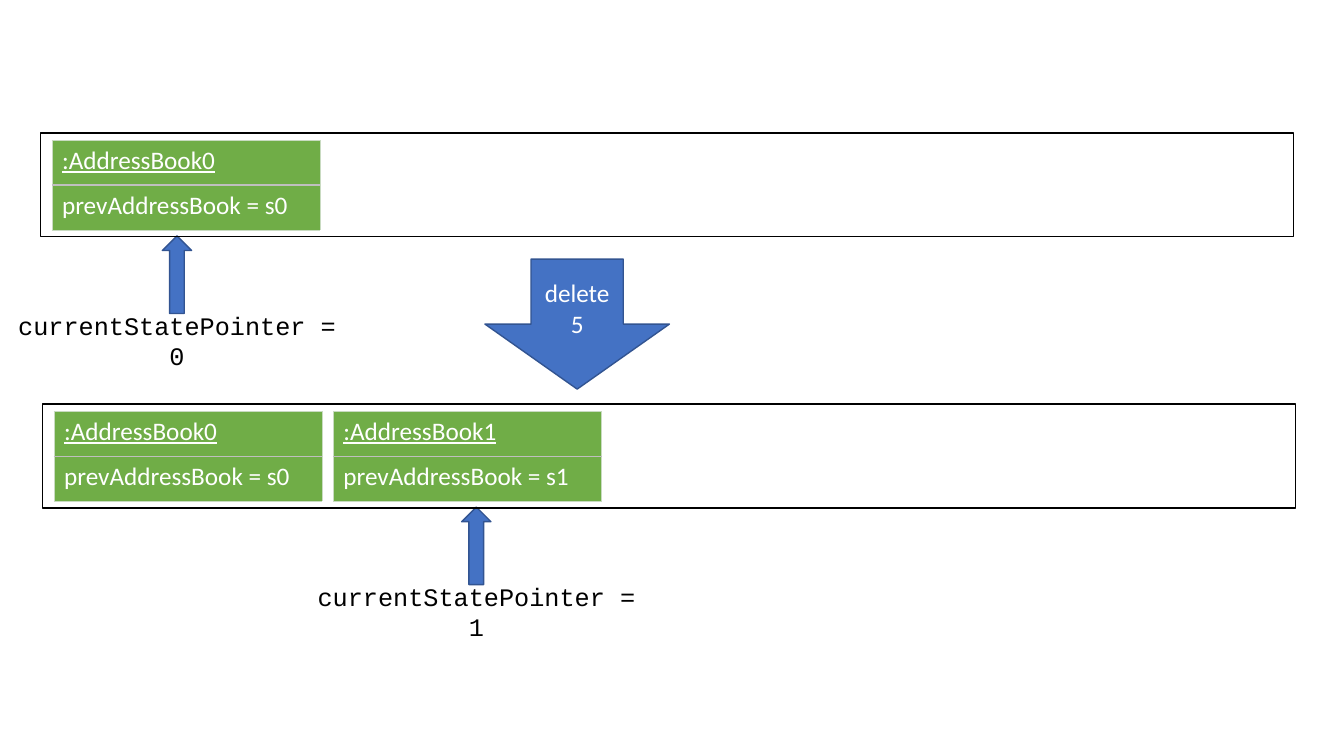
from lxml.etree import SubElement
from pptx import Presentation
from pptx.dml.color import RGBColor
from pptx.enum.shapes import MSO_SHAPE as Preset
from pptx.enum.text import MSO_ANCHOR as Anchor, PP_ALIGN as Align
from pptx.oxml.ns import qn
from pptx.util import Inches, Pt

SLIDE_WIDTH, SLIDE_HEIGHT = Inches(13.33), Inches(7.5)
BLUE, NAVY, GREEN, PALE, GREY = "4472C4", "325491", "70AD47", "C9DBC1", "BFBFBF"
BLACK, WHITE = "000000", "FFFFFF"
FRAME_WIDTH, FRAME_HEIGHT = 93.23, 13.73
BOOK_WIDTH, BOOK_STEP, BOOK_ROW = 19.95, 20.78, 5.95
LABEL_WIDTH, LABEL_HEIGHT = 26.33, 5.33
ARROW_WIDTH, ARROW_HEIGHT = 2.18, 10.27


def across(share):
    """Turn a percentage of the slide width into a length."""
    return round(SLIDE_WIDTH * share / 100)


def down(share):
    """Turn a percentage of the slide height into a length."""
    return round(SLIDE_HEIGHT * share / 100)


def box(left, top, width, height):
    """Turn percentages of the slide into a position and size."""
    return across(left), down(top), across(width), down(height)


def colour(value):
    """Turn a hex string into a colour."""
    return RGBColor.from_string(value)


def write(frame, text, font="Calibri", ink=WHITE, align=Align.LEFT, underline=False):
    """Put one formatted paragraph into a text frame."""
    frame.word_wrap = True
    paragraph = frame.paragraphs[0]
    paragraph.alignment = align
    run = paragraph.add_run()
    run.text = text
    run.font.name, run.font.size = font, Pt(18)
    run.font.underline = underline
    run.font.color.rgb = colour(ink)


def add_preset(slide, preset, place, fill=None, line=NAVY):
    """Draw a preset shape with a one-point outline."""
    shape = slide.shapes.add_shape(preset, *place)
    shape.shadow.inherit = False
    if fill:
        shape.fill.solid()
        shape.fill.fore_color.rgb = colour(fill)
    else:
        shape.fill.background()
    shape.line.color.rgb = colour(line)
    shape.line.width = Pt(1)
    return shape


def border(cell, side, ink, points):
    """Draw one border of a table cell."""
    edge = SubElement(cell._tc.get_or_add_tcPr(), qn(f"a:ln{side}"), w=str(Pt(points)))
    SubElement(SubElement(edge, qn("a:solidFill")), qn("a:srgbClr"), val=ink)


def add_book(slide, number, left, top):
    """Add the object table of one address book state."""
    place = box(left, top, BOOK_WIDTH, 2 * BOOK_ROW)
    table = slide.shapes.add_table(2, 1, *place).table
    table.first_row = table.horz_banding = False
    lines = f":AddressBook{number}", f"prevAddressBook = s{number}"
    for row, text in enumerate(lines):
        table.rows[row].height = down(BOOK_ROW)
        cell = table.cell(row, 0)
        write(cell.text_frame, text, underline=row == 0)
        divider = "B" if row == 0 else "T"
        for side in "LRTB":
            border(cell, side, *((GREY, 1) if side == divider else (PALE, 0.5)))
        cell.fill.solid()
        cell.fill.fore_color.rgb = colour(GREEN)


def add_history(slide, left, top, states, pointer_centre):
    """Add a state list with its frame, books and pointer to the last state."""
    label_place = box(pointer_centre - LABEL_WIDTH / 2, top + 22.73, LABEL_WIDTH, LABEL_HEIGHT)
    label = slide.shapes.add_textbox(*label_place)
    write(label.text_frame, f"currentStatePointer = {states - 1}",
          font="Courier New", ink=BLACK, align=Align.CENTER)
    for number in range(states):
        add_book(slide, number, left + 0.87 + number * BOOK_STEP, top + 0.93)
    arrow_place = box(pointer_centre - ARROW_WIDTH / 2, top + 13.6, ARROW_WIDTH, ARROW_HEIGHT)
    add_preset(slide, Preset.UP_ARROW, arrow_place, fill=BLUE)
    add_preset(slide, Preset.RECTANGLE, box(left, top, FRAME_WIDTH, FRAME_HEIGHT), line=BLACK)


def add_command(slide, text):
    """Add the block arrow that names the command between the states."""
    arrow = add_preset(slide, Preset.DOWN_ARROW, box(36.08, 34.27, 13.73, 17.2), fill=BLUE)
    arrow.text_frame.vertical_anchor = Anchor.MIDDLE
    write(arrow.text_frame, text, align=Align.CENTER)


def main():
    """Build the slide and save it."""
    deck = Presentation()
    deck.slide_width, deck.slide_height = SLIDE_WIDTH, SLIDE_HEIGHT
    slide = deck.slides.add_slide(deck.slide_layouts[6])
    add_history(slide, 3, 17.6, states=1, pointer_centre=13.17)
    add_command(slide, "delete 5")
    add_history(slide, 3.15, 53.47, states=2, pointer_centre=35.44)
    deck.save("out.pptx")


if __name__ == "__main__":
    main()
